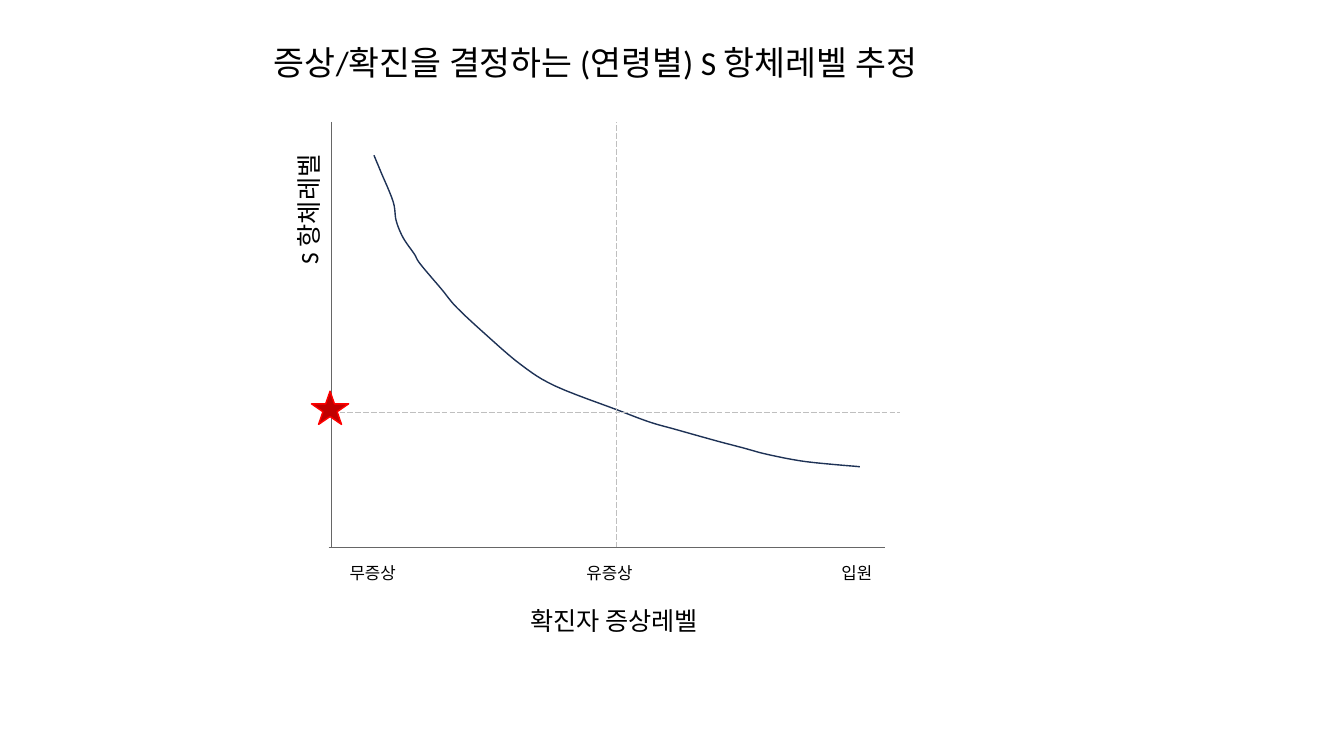
"""Draw the slide on S antibody level against symptom level."""
from typing import NamedTuple

from pptx import Presentation
from pptx import util as u
from pptx.dml.color import RGBColor
from pptx.enum import dml, shapes, text
from pptx.oxml.ns import qn
from lxml import etree

BLACK, AXIS, GUIDE, CURVE = "000000", "666666", "BFBFBF", "1E3256"
STAR_FILL, STAR_LINE = "C00000", "FF0000"
ORIGIN_X, BASE_Y, TOP_Y = 236.9, 391, 87.1
SYMPTOM_X, THRESHOLD_Y = 440.6, 294.5
TICK_Y, TICK_W, TICK_H = 398.2, 88.6, 21.8
STEPS = 6


class Label(NamedTuple):
    words: str
    x: float
    y: float
    w: float
    h: float
    size: float
    rotation: float = 0


class Line(NamedTuple):
    x1: float
    y1: float
    x2: float
    y2: float
    color: str
    dashed: bool = False


LINES = [
    Line(ORIGIN_X, TOP_Y, ORIGIN_X, BASE_Y, AXIS),
    Line(234.7, BASE_Y, 632.2, BASE_Y, AXIS),
    Line(SYMPTOM_X, BASE_Y, SYMPTOM_X, TOP_Y, GUIDE, True),
    Line(ORIGIN_X, THRESHOLD_Y, 643, THRESHOLD_Y, GUIDE, True),
]
TICKS = [("무증상", 242.6), ("유증상", 411.8), ("입원", 594)]
LABELS = [
    Label("S 항체레벨", 135.4, 96.5, 170, 29.1, 18, 270),
    Label("확진자 증상레벨", 371.5, 429.1, 170, 29.1, 18),
    *(Label(words, x, TICK_Y, TICK_W, TICK_H, 12) for words, x in TICKS),
    Label("증상/확진을 결정하는 (연령별) S 항체레벨 추정", 188.6, 26.6, 663.8, 36.4, 24),
]
CURVE_POINTS = [
    (267.1, 110.9), (272.2, 123.1), (280.8, 144), (283, 157.7), (288, 169.9),
    (295.9, 181.4), (300.2, 188.6), (315.4, 206.6), (326.2, 219.6),
    (347, 239), (372.2, 260.6), (396.7, 275.8), (441.4, 293), (464, 301.5),
    (482.4, 306.7), (510.5, 314.6), (529.9, 319.7), (548.6, 324.7),
    (576, 329.8), (614.2, 333.4),
]


def rgb(color: str) -> RGBColor:
    return RGBColor.from_string(color)


def add_text(s, words: str, *, x: float, y: float, w: float, h: float,
             size: float, rotation: float = 0, font: str = "Calibri",
             color: str = BLACK) -> None:
    sp = s.shapes.add_textbox(u.Pt(x), u.Pt(y), u.Pt(w), u.Pt(h))
    sp.rotation = rotation
    tf = sp.text_frame
    tf.word_wrap = True
    tf.auto_size = text.MSO_AUTO_SIZE.SHAPE_TO_FIT_TEXT
    p = tf.paragraphs[0]
    r = p.add_run()
    r.text = words
    r.font.name = font
    r.font.size = u.Pt(size)
    r.font.color.rgb = rgb(color)


def add_line(s, line: Line) -> None:
    sp = s.shapes.add_connector(
        shapes.MSO_CONNECTOR.STRAIGHT,
        u.Pt(line.x1), u.Pt(line.y1), u.Pt(line.x2), u.Pt(line.y2))
    sp.line.color.rgb = rgb(line.color)
    sp.line.width = u.Pt(0.5)
    if line.dashed:
        sp.line.dash_style = dml.MSO_LINE.LONG_DASH
    etree.SubElement(sp._element.spPr, qn("a:effectLst"))


def spline(a: float, b: float, c: float, d: float, t: float) -> float:
    return b + t / 2 * (c - a + t * (2 * a - 5 * b + 4 * c - d
                                     + t * (3 * (b - c) + d - a)))


def add_curve(s, points: list[tuple[float, float]]) -> None:
    padded = [points[0], *points, points[-1]]
    smooth = [
        tuple(u.Pt(spline(*axis, step / STEPS)) for axis in zip(*four))
        for four in zip(padded, padded[1:], padded[2:], padded[3:])
        for step in range(1, STEPS + 1)
    ]
    x, y = points[0]
    builder = s.shapes.build_freeform(u.Pt(x), u.Pt(y))
    builder.add_line_segments(smooth, close=False)
    sp = builder.convert_to_shape()
    sp.shadow.inherit = False
    sp.fill.background()
    sp.line.color.rgb = rgb(CURVE)
    sp.line.width = u.Pt(1)


def add_star(s, x: float, y: float, w: float, h: float) -> None:
    sp = s.shapes.add_shape(shapes.MSO_SHAPE.STAR_5_POINT,
                            u.Pt(x), u.Pt(y), u.Pt(w), u.Pt(h))
    sp.shadow.inherit = False
    sp.fill.solid()
    sp.fill.fore_color.rgb = rgb(STAR_FILL)
    sp.line.color.rgb = rgb(STAR_LINE)
    sp.line.width = u.Pt(1)


def main() -> None:
    prs = Presentation()
    prs.slide_width, prs.slide_height = u.Pt(960), u.Pt(540)
    s = prs.slides.add_slide(prs.slide_layouts[6])
    add_curve(s, CURVE_POINTS)
    for line in LINES:
        add_line(s, line)
    for label in LABELS:
        fields = label._asdict()
        add_text(s, fields.pop("words"), **fields)
    add_star(s, 222.5, 279.4, 26.6, 23.8)
    prs.save("out.pptx")


if __name__ == "__main__":
    main()
